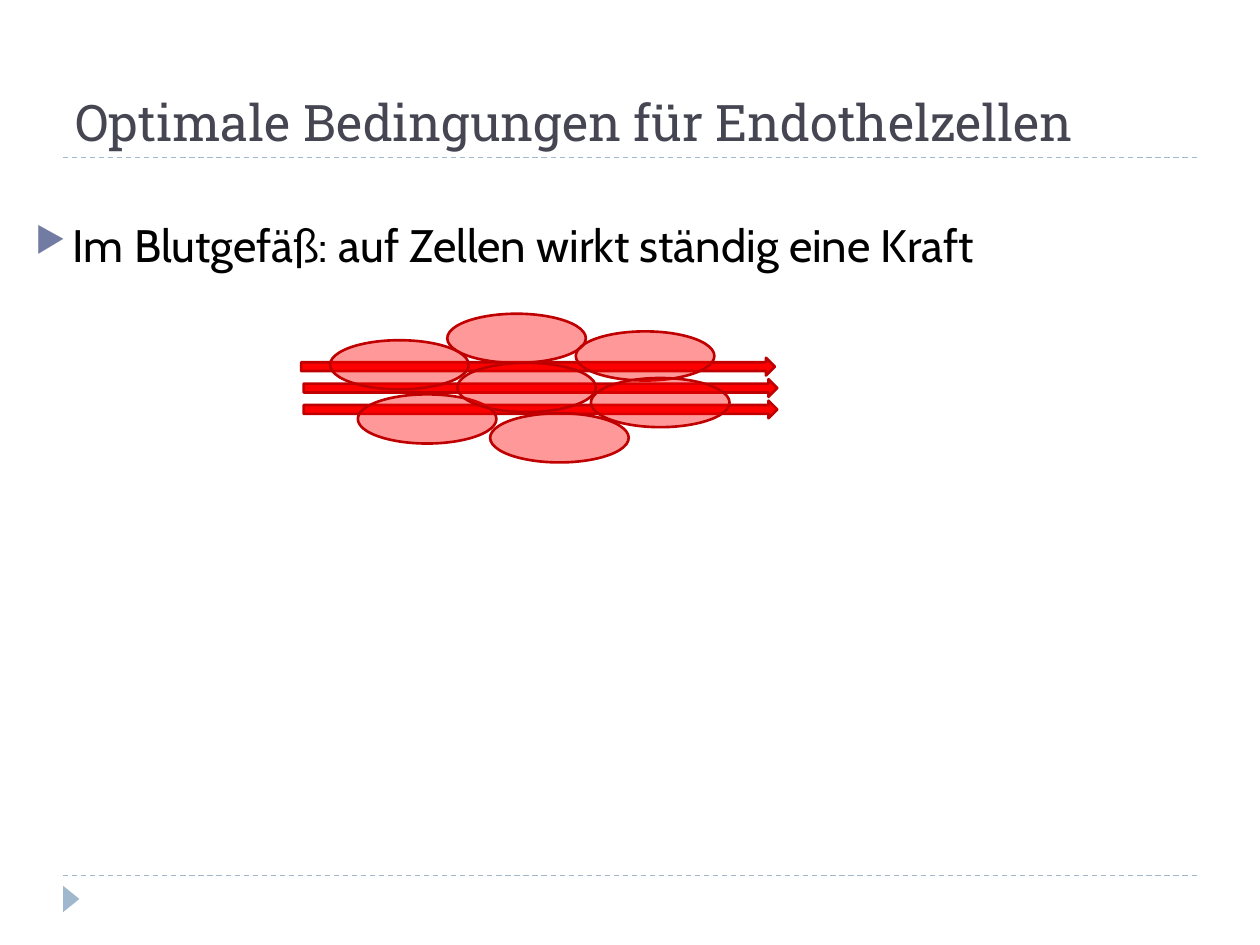
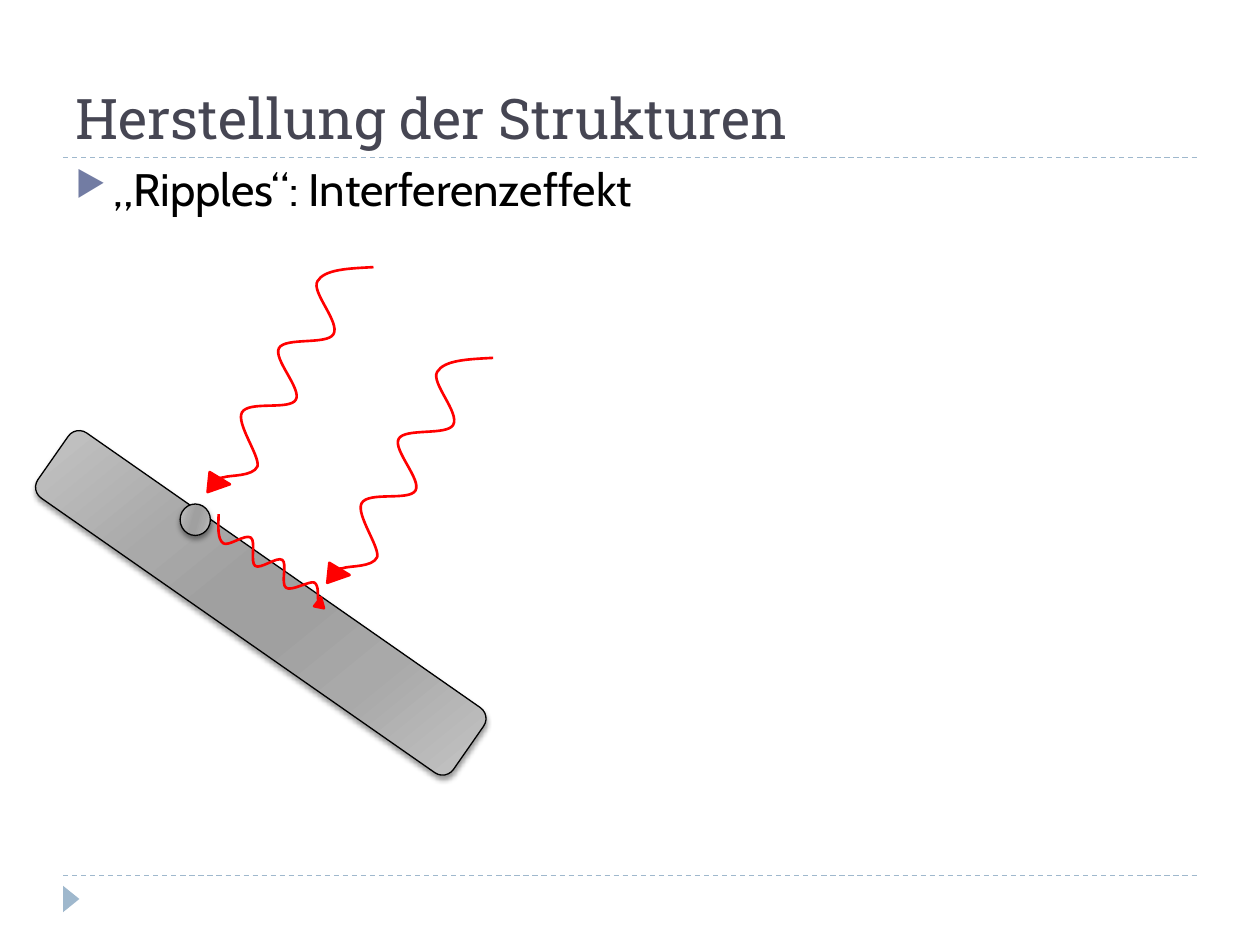
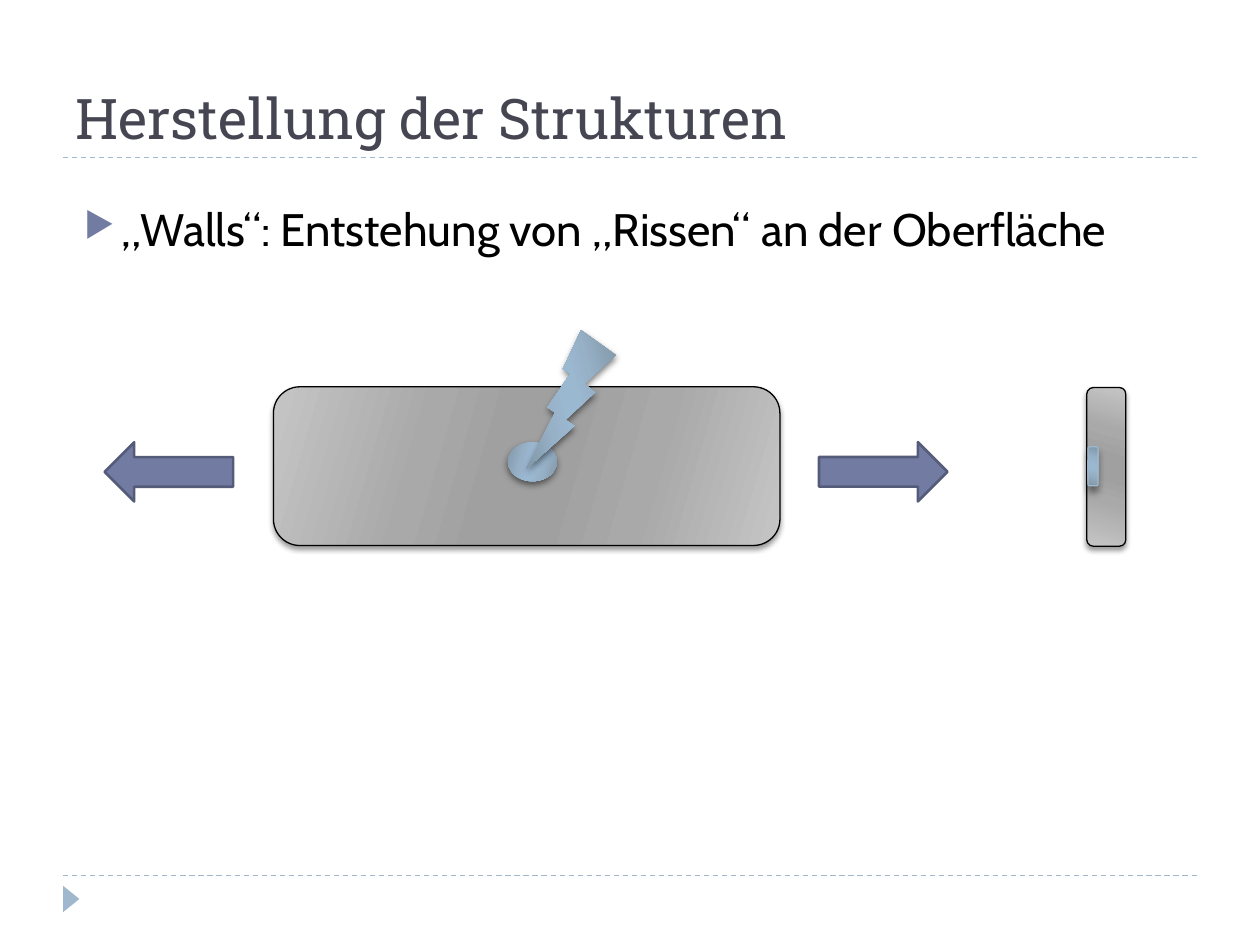
import dataclasses

import lxml.etree
import pptx
import pptx.dml.color
import pptx.enum.dml
import pptx.enum.shapes
import pptx.enum.text
import pptx.oxml.ns
import pptx.util

Inches, Pt = pptx.util.Inches, pptx.util.Pt
RGB = pptx.dml.color.RGBColor.from_string
KIND = pptx.enum.shapes.MSO_SHAPE
qn = pptx.oxml.ns.qn
SubElement = lxml.etree.SubElement


@dataclasses.dataclass(frozen=True)
class Theme:
    """Colours, fonts and type sizes of the deck."""
    title_font: str = "Roboto Slab"
    body_font: str = "Cabin"
    body_size: float = 26
    title_color: str = "464653"
    text: str = "000000"
    accent: str = "727CA3"
    accent_dark: str = "545C79"
    pale: str = "9FB8CD"
    red: str = "FF0000"
    dark_red: str = "C00000"
    metal: tuple = ("C5C5C5", "A9A9A9", "A0A0A0")
    laser: tuple = ("8297A8", "96B0C6", "9BB8D1")


T = Theme()
METAL_SHADOW = (40, 3, 2)  # opacity in percent, blur and distance in points
LASER_SHADOW = (50, 4, 2)
NOTCH_SHADOW = (40, 4, 3.4)


def add_shape(shapes, kind, box, fill, line=None, width=0.75, rot=0, alpha=None, shadow=None):
    """Add a preset shape; a tuple of three fill colours makes a mirrored gradient."""
    sp = shapes.add_shape(kind, *(Inches(v) for v in box))
    sp.rotation = rot
    sp.shadow.inherit = False
    if isinstance(fill, tuple):
        sp.fill.gradient()
        sp.fill.gradient_angle = 360 - 16
        stops = sp.element.spPr.find(".//" + qn("a:gsLst"))
        for stop in list(stops):
            stops.remove(stop)
        for pos, color in zip((0, 30, 45, 55, 73, 100), fill + fill[::-1]):
            stop = SubElement(stops, qn("a:gs"), pos=str(pos * 1000))
            SubElement(stop, qn("a:srgbClr"), val=color)
    else:
        sp.fill.solid()
        sp.fill.fore_color.rgb = RGB(fill)
    if alpha:
        color = sp.element.spPr.find(qn("a:solidFill")).find(qn("a:srgbClr"))
        SubElement(color, qn("a:alpha"), val=str(alpha * 1000))
    if line:
        sp.line.color.rgb = RGB(line)
        sp.line.width = Pt(width)
    else:
        sp.line.fill.background()
    if shadow:
        opacity, blur, dist = shadow
        outer = SubElement(sp.element.spPr.find(qn("a:effectLst")), qn("a:outerShdw"),
                           blurRad=str(Pt(blur)), dist=str(Pt(dist)), dir="5400000", rotWithShape="0")
        color = SubElement(outer, qn("a:srgbClr"), val=T.text)
        SubElement(color, qn("a:alpha"), val=str(opacity * 1000))
    return sp


# Local wave in hundredths of an inch: control, control, end for each curve
WAVE = [(11, 17), (21, 33), (32, 33), (42, 33), (51, 1), (62, 1),
        (72, 1), (83, 33), (93, 33), (103, 33), (112, 1), (122, 1),
        (132, 1), (141, 33), (152, 33), (162, 33), (175, 3), (183, 1),
        (192, 0), (200, 17), (204, 20), (207, 24), (207, 23), (206, 22)]


def add_wave(shapes, left, top, scale, rot, head, head_rot):
    """Add a wavy ray with a triangular head in a group of its own."""
    group = shapes.add_group_shape()
    builder = group.shapes.build_freeform(0, 0, scale=Inches(0.01) * scale)
    builder.add_line_segments(WAVE, close=False)
    sp = builder.convert_to_shape(Inches(left), Inches(top))
    outline = sp.element.spPr.find(".//" + qn("a:path"))
    lines = outline.findall(qn("a:lnTo"))
    for i in range(0, len(lines), 3):
        curve = SubElement(outline, qn("a:cubicBezTo"))
        for line in lines[i:i + 3]:
            curve.append(line[0])
            outline.remove(line)
    sp.rotation = rot
    sp.shadow.inherit = False
    sp.fill.background()
    sp.line.color.rgb = RGB(T.red)
    sp.line.width = Pt(1.5)
    add_shape(group.shapes, KIND.ISOSCELES_TRIANGLE, head, T.red, T.red, 1.5, head_rot)


prs = pptx.Presentation()
prs.slide_width, prs.slide_height = Inches(10), Inches(7.5)
layout = prs.slide_layouts[5]

# Titles and bullets: title, title size, bullet, bullet box
contents = [
    ("Optimale Bedingungen für Endothelzellen", 28.8,
     "Im Blutgefäß: auf Zellen wirkt ständig eine Kraft", (0.18, 1.67, 9, 5.4)),
    ("Herstellung der Strukturen", 32,
     "„Ripples“: Interferenzeffekt", (0.5, 1.23, 9, 5.47)),
    ("Herstellung der Strukturen", 32,
     "„Walls“: Entstehung von „Rissen“ an der Oberfläche", (0.57, 1.55, 9, 5.42)),
]
for title, size, bullet, box in contents:
    s = prs.slides.add_slide(layout)
    sp = s.shapes.title
    sp.left, sp.top, sp.width, sp.height = (Inches(v) for v in (0.5, 0.17, 9, 1.08))
    tf = sp.text_frame
    tf.text = title
    tf.auto_size = pptx.enum.text.MSO_AUTO_SIZE.NONE
    tf.vertical_anchor = pptx.enum.text.MSO_ANCHOR.BOTTOM
    p = tf.paragraphs[0]
    p.alignment = pptx.enum.text.PP_ALIGN.LEFT
    font = p.runs[0].font
    font.name, font.size, font.color.rgb = T.title_font, Pt(size), RGB(T.title_color)

    tf = s.shapes.add_textbox(*(Inches(v) for v in box)).text_frame
    tf.word_wrap = True
    tf.text = bullet
    p = tf.paragraphs[0]
    p.space_before = Pt(6)
    font = p.runs[0].font
    font.name, font.size, font.color.rgb = T.body_font, Pt(T.body_size), RGB(T.text)
    pPr = p.runs[0]._r.getparent().find(qn("a:pPr"))
    pPr.set("marL", str(Inches(0.3)))
    pPr.set("indent", str(-Inches(0.3)))
    SubElement(SubElement(pPr, qn("a:buClr")), qn("a:srgbClr"), val=T.accent)
    SubElement(pPr, qn("a:buSzPct"), val="76000")
    SubElement(pPr, qn("a:buChar"), char="▶")

cells, ripples, walls = prs.slides

# Rules and footer marker, shared through the layout
frame = []
for y in (6.95, 1.25):
    rule = cells.shapes.add_connector(pptx.enum.shapes.MSO_CONNECTOR.STRAIGHT,
                                      Inches(0.5), Inches(y), Inches(9.5), Inches(y))
    rule.line.color.rgb = RGB(T.pale)
    rule.line.width = Pt(0.75)
    rule.line.dash_style = pptx.enum.dml.MSO_LINE.DASH
    SubElement(rule.element.spPr, qn("a:effectLst"))
    frame.append(rule)
frame.append(add_shape(cells.shapes, KIND.ISOSCELES_TRIANGLE, (0.46, 7.07, 0.21, 0.13), T.pale, rot=90))
for number, part in enumerate(frame, 101):
    part.element.find(".//" + qn("p:cNvPr")).set("id", str(number))
    layout.shapes.element.append(part.element)

# Slide 1: blood flow across endothelial cells
flow = cells.shapes.add_group_shape()
for x, y in ((2.39, 2.84), (2.41, 3.01), (2.41, 3.18)):
    add_shape(flow.shapes, KIND.RIGHT_ARROW, (x, y, 3.76, 0.14), T.red, T.dark_red, 1.5)
tissue = cells.shapes.add_group_shape()
for x, y in ((2.62, 2.7), (2.84, 3.13), (3.63, 2.88), (3.55, 2.49),
             (3.89, 3.28), (4.57, 2.63), (4.69, 3)):
    add_shape(tissue.shapes, KIND.OVAL, (x, y, 1.1, 0.39), T.red, T.dark_red, 1.5, alpha=40)

# Slide 2: rays interfering on a tilted plate
add_shape(ripples.shapes, KIND.ROUNDED_RECTANGLE, (0.06, 4.47, 4.02, 0.63),
          T.metal, T.text, rot=34.9, shadow=METAL_SHADOW)
add_shape(ripples.shapes, KIND.OVAL, (1.43, 4, 0.24, 0.25), T.metal, T.text, shadow=METAL_SHADOW)
for dx, dy in ((0, 0), (0.95, 0.72)):
    add_wave(ripples.shapes, 1.27 + dx, 2.77 + dy, 1, 119.9,
             (1.66 + dx, 3.75 + dy, 0.16, 0.17), 95.9)
add_wave(ripples.shapes, 1.59, 4.37, 0.51, 35.3, (2.5, 4.74, 0.08, 0.08), 11.3)

# Slide 3: stretched plate struck by a laser, with its side view
add_shape(walls.shapes, KIND.ROUNDED_RECTANGLE, (2.17, 3.07, 4.02, 1.26),
          T.metal, T.text, shadow=METAL_SHADOW)
for x, rot in ((6.5, 0), (0.83, 180)):
    add_shape(walls.shapes, KIND.RIGHT_ARROW, (x, 3.51, 1.02, 0.47), T.accent, T.accent_dark, 1.5, rot)
add_shape(walls.shapes, KIND.OVAL, (4.03, 3.51, 0.39, 0.31), T.laser, shadow=LASER_SHADOW)
bolt = add_shape(walls.shapes, KIND.LIGHTNING_BOLT, (4.18, 2.62, 0.71, 1.1), T.laser, shadow=LASER_SHADOW)
bolt.element.spPr.find(qn("a:xfrm")).set("flipH", "1")
side = walls.shapes.add_group_shape()
add_shape(side.shapes, KIND.ROUNDED_RECTANGLE, (8.15, 3.55, 1.26, 0.31),
          T.metal, T.text, rot=270, shadow=METAL_SHADOW)
add_shape(side.shapes, KIND.ROUNDED_RECTANGLE, (8.52, 3.66, 0.31, 0.08),
          T.laser, T.pale, rot=270, shadow=NOTCH_SHADOW)

prs.save("out.pptx")
